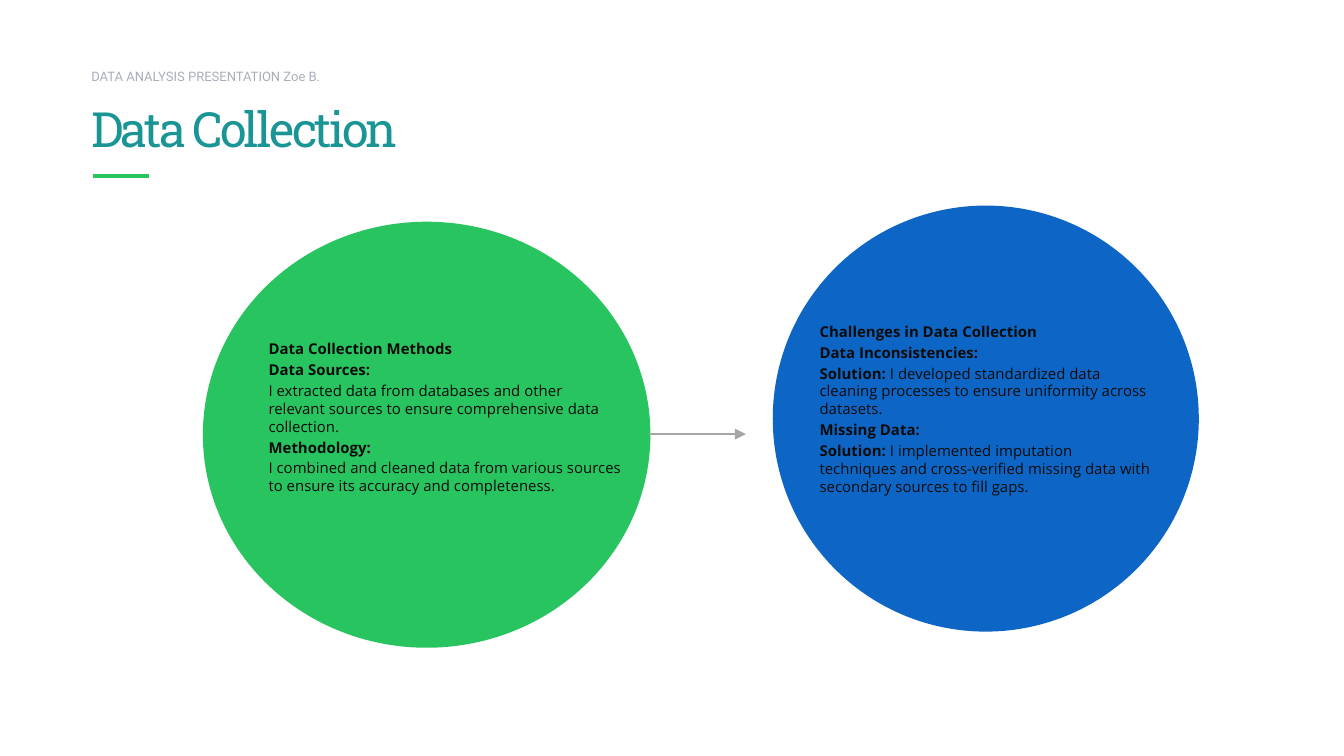
from dataclasses import dataclass

from lxml.etree import SubElement
from pptx import Presentation
from pptx.dml.color import RGBColor
from pptx.enum.shapes import MSO_CONNECTOR, MSO_SHAPE
from pptx.enum.text import MSO_ANCHOR, MSO_AUTO_SIZE, PP_ALIGN
from pptx.oxml.ns import qn
from pptx.util import Inches, Pt


@dataclass(frozen=True)
class Theme:
    # Colours
    green: str = "27C45F"
    teal: str = "199596"
    blue: str = "0D66C5"
    ink: str = "0B0B0B"
    muted: str = "A8AFB9"
    arrow: str = "A6A6A6"
    # Fonts and sizes
    title_font: str = "Roboto Slab"
    label_font: str = "Roboto"
    body_font: str = "Open Sans"
    title_size: float = 26
    label_size: float = 7
    body_size: float = 8
    para_gap: float = 1.6


class SlideBuilder:
    def __init__(self, prs, theme):
        self.theme = theme
        self.slide = prs.slides.add_slide(prs.slide_layouts[1])

    def style(self, r, font, size, color, bold=False):
        r.font.name = font
        r.font.size = Pt(size)
        r.font.bold = bold
        r.font.color.rgb = RGBColor.from_string(color)

    def placeholder(self, sp, box, text, font, size, color, anchor):
        sp.left, sp.top, sp.width, sp.height = map(Inches, box)
        tf = sp.text_frame
        tf.text = text
        tf.word_wrap = True
        tf.auto_size = MSO_AUTO_SIZE.NONE
        tf.vertical_anchor = anchor
        p = tf.paragraphs[0]
        p.alignment = PP_ALIGN.LEFT
        p.space_before = Pt(0)
        self.style(p.runs[0], font, size, color)
        return p

    def title(self, box, text):
        t = self.theme
        p = self.placeholder(self.slide.shapes.title, box, text, t.title_font,
                             t.title_size, t.teal, MSO_ANCHOR.MIDDLE)
        p.runs[0].font._element.set("spc", "-150")

    def label(self, box, text):
        t = self.theme
        p = self.placeholder(self.slide.placeholders[1], box, text, t.label_font,
                             t.label_size, t.muted, MSO_ANCHOR.TOP)
        pPr = p._p.get_or_add_pPr()
        pPr.set("marL", "0")
        pPr.set("indent", "0")
        SubElement(pPr, qn("a:buNone"))

    def circle(self, box, color):
        sp = self.slide.shapes.add_shape(MSO_SHAPE.OVAL, *map(Inches, box))
        sp.shadow.inherit = False
        sp.fill.solid()
        sp.fill.fore_color.rgb = RGBColor.from_string(color)
        sp.line.fill.background()

    def text(self, box, paragraphs):
        """Each paragraph is a (bold lead, regular text) pair."""
        t = self.theme
        tf = self.slide.shapes.add_textbox(*map(Inches, box)).text_frame
        tf.word_wrap = True
        for i, parts in enumerate(paragraphs):
            p = tf.add_paragraph() if i else tf.paragraphs[0]
            p.space_before = Pt(t.para_gap if i else 0)
            for part, bold in zip(parts, (True, False)):
                if part:
                    r = p.add_run()
                    r.text = part
                    self.style(r, t.body_font, t.body_size, t.ink, bold)

    def line(self, x1, x2, y, color, width, arrow=False):
        cx = self.slide.shapes.add_connector(
            MSO_CONNECTOR.STRAIGHT, Inches(x1), Inches(y), Inches(x2), Inches(y))
        cx.line.color.rgb = RGBColor.from_string(color)
        cx.line.width = Pt(width)
        if arrow:
            SubElement(cx.line._get_or_add_ln(), qn("a:tailEnd"), type="triangle")
        SubElement(cx._element.spPr, qn("a:effectLst"))


def main():
    prs = Presentation()
    prs.slide_width = Inches(10)
    prs.slide_height = prs.slide_width * 9 // 16
    theme = Theme()
    s = SlideBuilder(prs, theme)

    # Heading
    s.line(0.69, 1.11, 1.31, theme.green, 2)
    s.title((0.58, 0.48, 8.33, 0.94), "Data Collection")
    s.label((0.58, 0.46, 5.5, 0.35), "DATA ANALYSIS PRESENTATION Zoe B.")

    # Collection methods
    s.circle((1.51, 1.65, 3.33, 3.17), theme.green)
    s.text((1.9, 2.48, 2.83, 1.17), [
        ("Data Collection Methods", ""),
        ("Data Sources:", ""),
        ("", "I extracted data from databases and other relevant sources "
             "to ensure comprehensive data collection."),
        ("Methodology:", ""),
        ("", "I combined and cleaned data from various sources "
             "to ensure its accuracy and completeness."),
    ])

    # Collection challenges
    s.circle((5.75, 1.53, 3.17, 3.17), theme.blue)
    s.text((6, 2.35, 2.67, 1.42), [
        ("Challenges in Data Collection", ""),
        ("Data Inconsistencies:", ""),
        ("Solution:", " I developed standardized data cleaning processes "
                      "to ensure uniformity across datasets."),
        ("Missing Data:", ""),
        ("Solution:", " I implemented imputation techniques and cross-verified "
                      "missing data with secondary sources to fill gaps."),
    ])

    # Arrow from methods to challenges
    s.line(4.83, 5.55, 3.23, theme.arrow, 0.75, arrow=True)

    prs.save("out.pptx")


if __name__ == "__main__":
    main()
